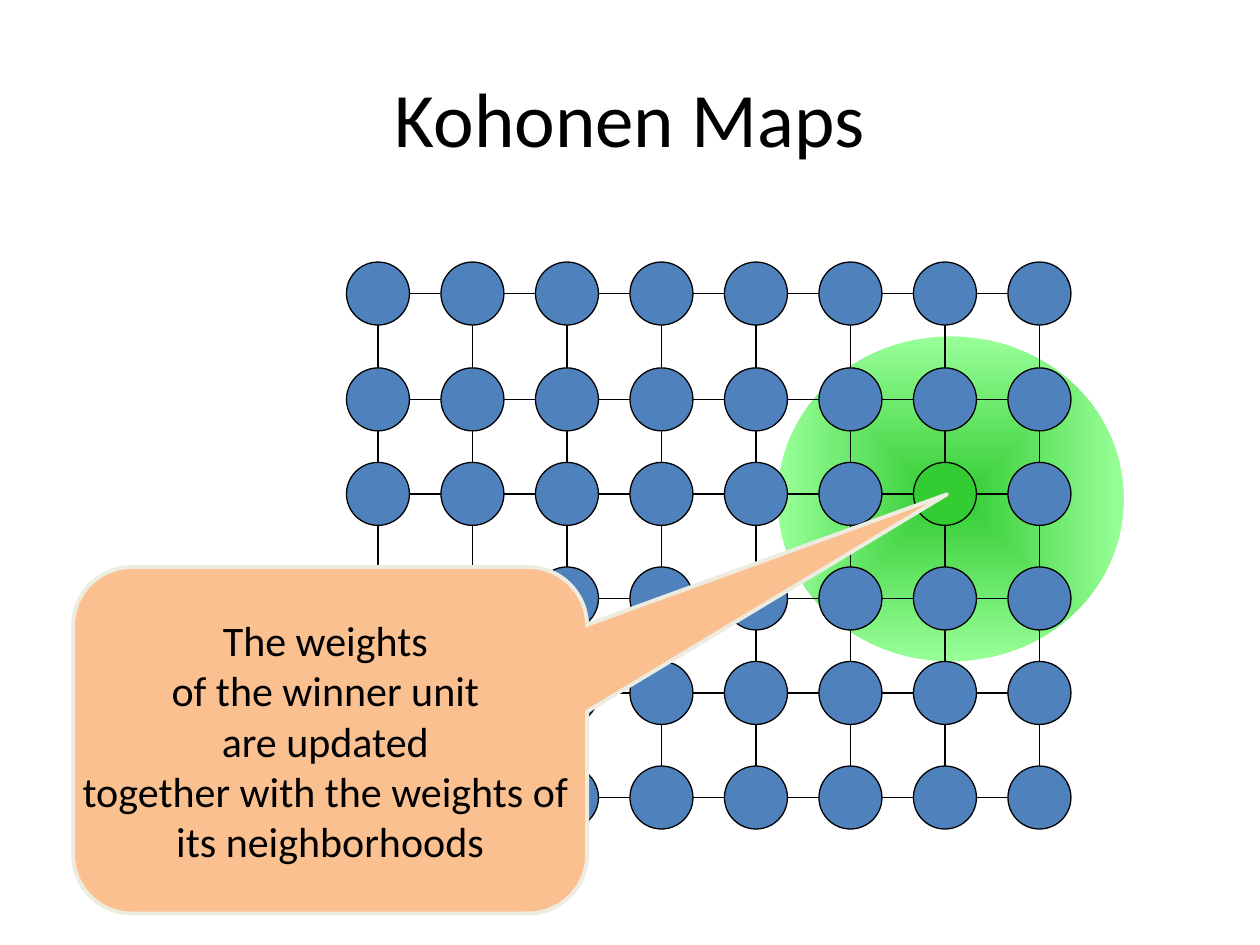
import lxml.etree
import pptx
import pptx.dml.color
import pptx.enum.shapes
import pptx.enum.text
import pptx.oxml.ns
import pptx.util

Inches = pptx.util.Inches
RGBColor = pptx.dml.color.RGBColor
SHAPES = pptx.enum.shapes.MSO_SHAPE

BLACK = RGBColor(0x00, 0x00, 0x00)
UNIT_BLUE = RGBColor(0x4F, 0x81, 0xBD)
WINNER_GREEN = RGBColor(0x33, 0xCC, 0x33)
HALO_GREEN = RGBColor(0x99, 0xFF, 0x99)
CALLOUT_ORANGE = RGBColor(0xFA, 0xC0, 0x90)
CALLOUT_EDGE = RGBColor(0xEE, 0xEC, 0xE1)

UNIT_SIZE = 0.5
COLUMN_LEFTS = [2.75 + 0.75 * column for column in range(8)]
ROW_TOPS = [2.08, 2.92, 3.67, 4.5, 5.25, 6.08]
WINNER = (2, 6)  # row, column


def write_text(shape, lines, *, size, wrap=True):
    frame = shape.text_frame
    frame.text = "\n".join(lines)
    frame.word_wrap = wrap
    frame.vertical_anchor = pptx.enum.text.MSO_ANCHOR.MIDDLE
    for paragraph in frame.paragraphs:
        paragraph.alignment = pptx.enum.text.PP_ALIGN.CENTER
        paragraph.font.name = "Calibri"
        paragraph.font.size = pptx.util.Pt(size)
        paragraph.font.color.rgb = BLACK


def add_title(slide, text):
    title = slide.shapes.title
    title.left, title.top = Inches(0.5), Inches(0.3)
    title.width, title.height = Inches(9), Inches(1.25)
    write_text(title, [text], size=44)


def add_outlined_shape(slide, kind, box, fill, edge, edge_width):
    shape = slide.shapes.add_shape(kind, *map(Inches, box))
    shape.shadow.inherit = False
    shape.fill.solid()
    shape.fill.fore_color.rgb = fill
    shape.line.color.rgb = edge
    shape.line.width = pptx.util.Pt(edge_width)
    return shape


def add_neighborhood(slide):
    """Add the halo that fades outwards from the winner unit."""
    halo = slide.shapes.add_shape(
        SHAPES.OVAL, Inches(6.17), Inches(2.67), Inches(2.75), Inches(2.58))
    halo.shadow.inherit = False
    halo.line.fill.background()
    halo.fill.gradient()
    for stop, color in zip(halo.fill.gradient_stops, (WINNER_GREEN, HALO_GREEN)):
        stop.color.rgb = color
    qn = pptx.oxml.ns.qn
    linear = next(halo.element.iter(qn("a:lin")))
    gradient = linear.getparent()
    radial = lxml.etree.Element(qn("a:path"), path="shape")
    lxml.etree.SubElement(
        radial, qn("a:fillToRect"), {side: "50000" for side in "ltrb"})
    gradient.replace(linear, radial)


def add_link(slide, start, end):
    link = slide.shapes.add_connector(
        pptx.enum.shapes.MSO_CONNECTOR.STRAIGHT, *map(Inches, start + end))
    link.line.color.rgb = BLACK
    link.line.width = pptx.util.Pt(0.75)
    lxml.etree.SubElement(link.element.spPr, pptx.oxml.ns.qn("a:effectLst"))


def add_map(slide):
    """Add the grid of units, each linked to its right and upper neighbours."""
    for row, top in enumerate(ROW_TOPS):
        for column, left in enumerate(COLUMN_LEFTS):
            color = WINNER_GREEN if (row, column) == WINNER else UNIT_BLUE
            add_outlined_shape(slide, SHAPES.OVAL, (left, top, UNIT_SIZE, UNIT_SIZE),
                               color, BLACK, 0.75)
            center_x, center_y = left + UNIT_SIZE / 2, top + UNIT_SIZE / 2
            if column + 1 < len(COLUMN_LEFTS):
                add_link(slide, (left + UNIT_SIZE, center_y),
                         (COLUMN_LEFTS[column + 1], center_y))
            if row > 0:
                add_link(slide, (center_x, top),
                         (center_x, ROW_TOPS[row - 1] + UNIT_SIZE))


def add_callout(slide, lines):
    callout = add_outlined_shape(
        slide, SHAPES.ROUNDED_RECTANGULAR_CALLOUT, (0.58, 4.5, 4.08, 2.75),
        CALLOUT_ORANGE, CALLOUT_EDGE, 2.25)
    for index, value in enumerate((1.2, -0.71, 0.17)):
        callout.adjustments[index] = value
    write_text(callout, lines, size=24, wrap=False)


def main():
    presentation = pptx.Presentation()
    presentation.slide_width = Inches(10)
    presentation.slide_height = Inches(7.5)
    slide = presentation.slides.add_slide(presentation.slide_layouts[5])
    add_title(slide, "Kohonen Maps")
    add_neighborhood(slide)
    add_map(slide)
    add_callout(slide, [
        "The weights ",
        "of the winner unit ",
        "are updated ",
        "together with the weights of ",
        "its neighborhoods",
    ])
    presentation.save("out.pptx")


if __name__ == "__main__":
    main()
